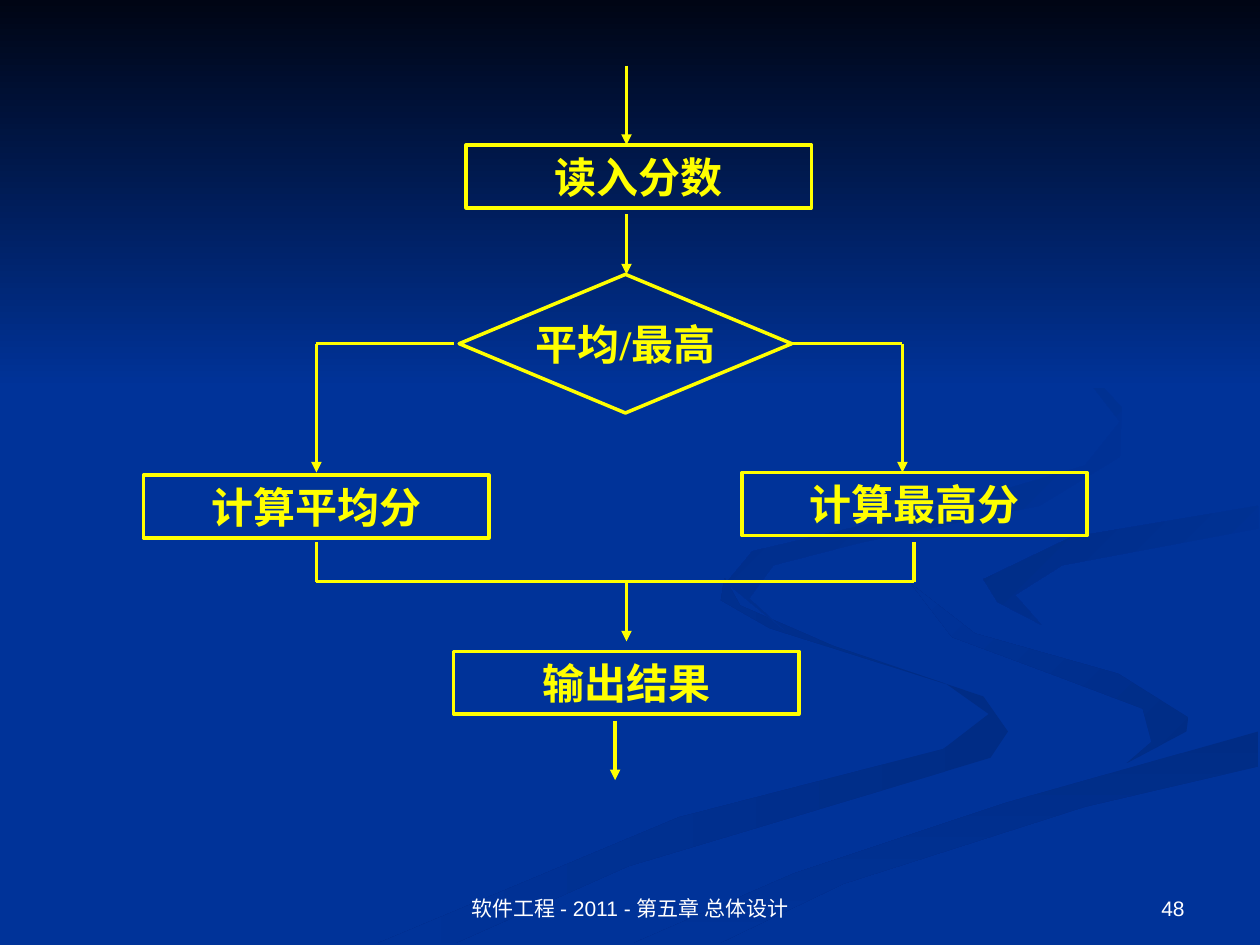
from lxml.etree import SubElement
from pptx import Presentation
from pptx.dml.color import RGBColor
from pptx.enum.shapes import MSO_CONNECTOR, MSO_SHAPE
from pptx.enum.text import MSO_ANCHOR, PP_ALIGN
from pptx.oxml.ns import qn
from pptx.util import Pt

COLORS = {
    "blue": "003399",
    "shade": "002C85",
    "night": "000514",
    "yellow": "FFFF00",
    "white": "FFFFFF",
}


def rgb(name):
    return RGBColor.from_string(COLORS[name])


def write(sp, text, font, size, color, align, anchor, bold=False):
    tf = sp.text_frame
    tf.vertical_anchor = anchor
    p = tf.paragraphs[0]
    p.alignment = align
    r = p.add_run()
    r.text = text
    r.font.name = font
    r.font.size = Pt(size)
    r.font.bold = bold
    r.font.color.rgb = rgb(color)
    return tf


prs = Presentation()
prs.slide_width = Pt(720)
prs.slide_height = Pt(540)
s = prs.slides.add_slide(prs.slide_layouts[6])
s.background.fill.solid()
s.background.fill.fore_color.rgb = rgb("blue")

# Background ribbons: start colour, end colour, gradient angle, outline
ribbons = [
    ("shade", "blue", 180, [
        (562, 398), (476, 369), (423, 346), (414, 330), (412, 343), (440, 359),
        (541, 391), (565, 408), (539, 428), (388, 467), (216, 539), (260, 539),
        (359, 495), (503, 452), (566, 433), (576, 418)]),
    ("shade", "blue", 135, [
        (679, 410), (639, 385), (557, 362), (521, 334), (544, 364), (603, 386),
        (653, 405), (658, 424), (644, 436), (678, 418)]),
    ("shade", "blue", 270, [
        (362, 539), (411, 539), (482, 505), (620, 461), (719, 438), (719, 418),
        (574, 459), (454, 499)]),
    ("blue", "shade", 135, [
        (562, 331), (570, 344), (595, 357), (580, 340), (607, 323), (719, 302),
        (719, 289), (612, 307)]),
    ("blue", "shade", 135, [
        (492, 310), (594, 289), (640, 261), (641, 233), (615, 204), (549, 168),
        (609, 201), (640, 241), (620, 266), (549, 287), (430, 315), (415, 333),
        (448, 360), (428, 342), (442, 323)]),
    # Night sky fading into the background
    ("night", "blue", 270, [(0, 0), (0, 222), (720, 222), (720, 0)]),
]
for start, end, angle, points in ribbons:
    builder = s.shapes.build_freeform(*points[0], scale=Pt(1))
    builder.add_line_segments(points[1:], close=True)
    sp = builder.convert_to_shape()
    sp.shadow.inherit = False
    sp.line.fill.background()
    sp.fill.gradient()
    sp.fill.gradient_angle = angle
    for stop, color in zip(sp.fill.gradient_stops, (start, end)):
        stop.color.rgb = rgb(color)

# Flowchart steps
BOX = (MSO_SHAPE.RECTANGLE, 197.3, 36)
DECISION = (MSO_SHAPE.FLOWCHART_DECISION, 190, 79.2)
steps = [
    (BOX, 266.4, 82.8, "读入分数"),
    (BOX, 424, 270, "计算最高分"),
    (BOX, 82.1, 271.5, "计算平均分"),
    (BOX, 259.2, 372.2, "输出结果"),
    (DECISION, 262.4, 156.8, "平均/最高"),
]
for (kind, width, height), left, top, text in steps:
    sp = s.shapes.add_shape(kind, Pt(left), Pt(top), Pt(width), Pt(height))
    sp.shadow.inherit = False
    sp.fill.background()
    sp.line.color.rgb = rgb("yellow")
    sp.line.width = Pt(2)
    tf = write(sp, text, "Times New Roman", 24, "yellow",
               PP_ALIGN.CENTER, MSO_ANCHOR.MIDDLE, bold=True)
    tf.word_wrap = kind == MSO_SHAPE.RECTANGLE

# Flow lines: x1, y1, x2, y2, arrowhead at the end
center, left, right, right_exit, end_x = 358, 180.8, 515.7, 522.2, 351.5
branch_y, step_y, exit_y, merge_y = 196.3, 270, 309.7, 332.4
flows = [
    (center, 37.5, center, 82.8, True),
    (center, 122.5, center, 156.8, True),
    (259.2, branch_y, left, branch_y, False),
    (left, branch_y, left, step_y, True),
    (450, branch_y, right, branch_y, False),
    (right, branch_y, right, step_y, True),
    (left, exit_y, left, merge_y, False),
    (right_exit, exit_y, right_exit, merge_y, False),
    (left, merge_y, right_exit, merge_y, False),
    (center, merge_y, center, 366.5, True),
    (end_x, 411.8, end_x, 445.8, True),
]
for x1, y1, x2, y2, arrow in flows:
    line = s.shapes.add_connector(MSO_CONNECTOR.STRAIGHT,
                                  Pt(x1), Pt(y1), Pt(x2), Pt(y2))
    line.line.color.rgb = rgb("yellow")
    line.line.width = Pt(2)
    if arrow:
        SubElement(line.get_or_add_ln(), qn("a:tailEnd"), type="triangle")
    SubElement(line._element.spPr, qn("a:effectLst"))

# Footer and slide number
footers = [
    (246, 228, "软件工程 - 2011 - 第五章 总体设计", PP_ALIGN.CENTER),
    (516, 168, "48", PP_ALIGN.RIGHT),
]
for x, width, text, align in footers:
    sp = s.shapes.add_textbox(Pt(x), Pt(492), Pt(width), Pt(37.5))
    tf = write(sp, text, "Arial", 12, "white", align, MSO_ANCHOR.BOTTOM)
    tf.word_wrap = True

prs.save("out.pptx")
